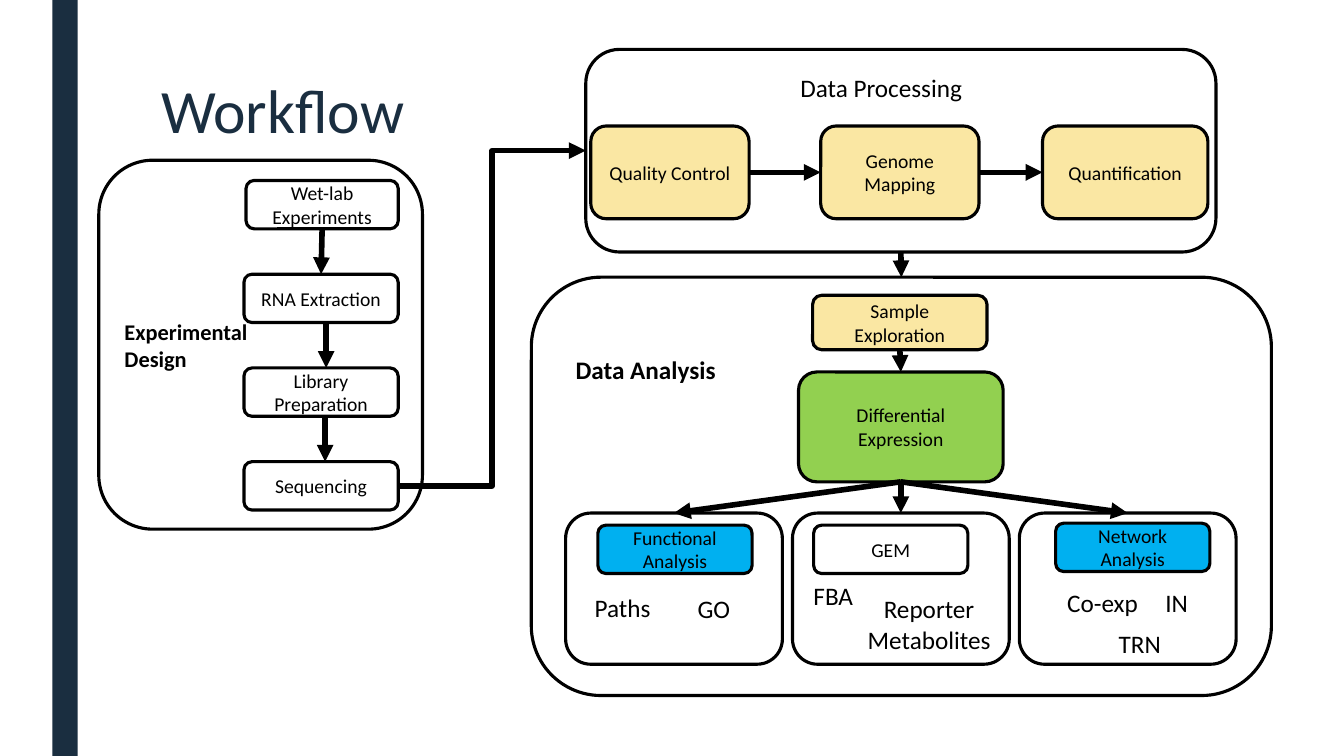
from pptx import Presentation
from pptx.dml.color import RGBColor
from pptx.enum.shapes import MSO_CONNECTOR, MSO_SHAPE
from pptx.enum.text import MSO_ANCHOR, PP_ALIGN
from pptx.oxml.ns import qn
from pptx.util import Emu, Pt
from lxml import etree

RECTANGLE, ROUNDED = MSO_SHAPE.RECTANGLE, MSO_SHAPE.ROUNDED_RECTANGLE
STRAIGHT, ELBOW = MSO_CONNECTOR.STRAIGHT, MSO_CONNECTOR.ELBOW
LEFT, CENTER = PP_ALIGN.LEFT, PP_ALIGN.CENTER
TOP_SITE, LEFT_SITE, BOTTOM_SITE, RIGHT_SITE = range(4)

EMU_PER_PX = 9144  # 100 px to the inch
SLIDE_SIZE = (1333, 750)

THEME = {
    "font": "Calibri",
    "navy": "1A2E40", "black": "000000",
    "cream": "FAE7A3", "green": "92D050", "blue": "00B0F0",
    "title": 44, "label": 18, "design": 16, "box": 14,
    "outline": 2.25, "arrow": 4,
}

SIDE_BAR = (52, 0, 25, 750)
TITLE = ("Workflow", (150, 75, 1050, 162))

FRAMES = {
    "Experimental\nDesign": (98, 159, 321, 366),
    "Data Processing": (581, 49, 625, 201),
    "Data Analysis": (527, 275, 734, 415),
}

# Steps run down the experimental frame: name, left, width
STEPS = [
    ("Wet-lab Experiments", 244, 151),
    ("RNA Extraction", 242, 153),
    ("Library Preparation", 242, 153),
    ("Sequencing", 242, 153),
]
STEP_TOP, STEP_PITCH, SMALL_HEIGHT = 179, 93, 48
STEP_ARROW_SHIFTS = [0, 5, 4]

# Processes run across the processing frame: name, left, width
PROCESSES = [
    ("Quality Control", 586, 157),
    ("Genome Mapping", 814, 157),
    ("Quantification", 1034, 164),
]
PROCESS_TOP, PROCESS_HEIGHT = 125, 92

ANALYSES = [
    ("Sample Exploration", (806, 293, 173, 54), "cream"),
    ("Differential Expression", (792, 369, 203, 109), "green"),
]

# Branches end the analysis: header, header left and top, fill, methods
BRANCHES = [
    ("Functional Analysis", 593, 521, "blue",
     [("Paths", (580, 583, 96, 40), LEFT), ("GO", (682, 584, 61, 40), LEFT)]),
    ("GEM", 807, 521, None,
     [("FBA", (797, 571, 73, 40), LEFT),
      ("Reporter\nMetabolites", (841, 584, 161, 71), CENTER)]),
    ("Network Analysis", 1047, 519, "blue",
     [("Co-exp", (1038, 578, 111, 40), CENTER),
      ("IN", (1141, 578, 52, 40), CENTER),
      ("TRN", (1092, 618, 77, 40), CENTER)]),
]
BRANCH_LEFT, BRANCH_TOP, BRANCH_PITCH = 561, 509, 225
BRANCH_SIZE, HEADER_WIDTH = (215, 150), 153

FRAME_LABELS = [
    ("Data Processing", (765, 67, 218, 40), CENTER, False),
    ("Data Analysis", (561, 347, 184, 40), LEFT, True),
]


def px(length):
    return Emu(round(length * EMU_PER_PX))


def color(name):
    return RGBColor.from_string(THEME[name])


def write(shape, text, size, align=CENTER, bold=False, ink="black",
          anchor=MSO_ANCHOR.MIDDLE, spacing=None):
    frame = shape.text_frame
    frame.word_wrap = True
    frame.vertical_anchor = anchor
    frame.text = text
    for paragraph in frame.paragraphs:
        paragraph.alignment = align
        paragraph.line_spacing = spacing
        font = paragraph.runs[0].font
        formats = {"name": THEME["font"], "size": Pt(THEME[size]), "bold": bold}
        for attribute, value in formats.items():
            setattr(font, attribute, value)
        font.color.rgb = color(ink)


def add_label(slide, text, place, size="label", **formats):
    label = slide.shapes.add_textbox(*map(px, place))
    write(label, text, size, anchor=MSO_ANCHOR.TOP, **formats)


def add_panel(slide, place, fill=None, outlined=True, kind=ROUNDED):
    panel = slide.shapes.add_shape(kind, *map(px, place))
    panel.shadow.inherit = False
    if fill:
        panel.fill.solid()
        panel.fill.fore_color.rgb = color(fill)
    else:
        panel.fill.background()
    if outlined:
        panel.line.color.rgb = color("black")
        panel.line.width = Pt(THEME["outline"])
    else:
        panel.line.fill.background()
    return panel


def add_box(slide, text, place, fill=None):
    box = add_panel(slide, place, fill)
    write(box, text, "box")
    return box


def site_point(shape, site):
    """Return the middle of the shape's edge that the site number names."""
    across = {LEFT_SITE: 0, RIGHT_SITE: 1}.get(site, 0.5)
    down = {TOP_SITE: 0, BOTTOM_SITE: 1}.get(site, 0.5)
    return (round(shape.left + across * shape.width),
            round(shape.top + down * shape.height))


def add_arrow(slide, source, target, sites=(BOTTOM_SITE, TOP_SITE),
              kind=STRAIGHT, shift=0):
    """Join two shapes; a shifted arrow runs beside the middle, unglued."""
    start_x, start_y = site_point(source, sites[0])
    end_x, end_y = site_point(target, sites[1])
    arrow = slide.shapes.add_connector(
        kind, start_x + px(shift), start_y, end_x + px(shift), end_y)
    if not shift:
        arrow.begin_connect(source, sites[0])
        arrow.end_connect(target, sites[1])
    arrow.line.color.rgb = color("black")
    arrow.line.width = Pt(THEME["arrow"])
    etree.SubElement(arrow.line._get_or_add_ln(), qn("a:tailEnd"), type="triangle")
    etree.SubElement(arrow._element.spPr, qn("a:effectLst"))


def main():
    presentation = Presentation()
    presentation.slide_width, presentation.slide_height = map(px, SLIDE_SIZE)
    slide = presentation.slides.add_slide(presentation.slide_layouts[6])

    add_panel(slide, SIDE_BAR, "navy", outlined=False, kind=RECTANGLE)
    add_label(slide, *TITLE, size="title", align=LEFT, ink="navy", spacing=0.89)

    design, processing, analysis = [
        add_panel(slide, place) for place in FRAMES.values()]
    write(design, list(FRAMES)[0], "design", align=LEFT, bold=True)
    for text, place, align, bold in FRAME_LABELS:
        add_label(slide, text, place, align=align, bold=bold)

    steps = [
        add_box(slide, name, (left, STEP_TOP + row * STEP_PITCH, width, SMALL_HEIGHT))
        for row, (name, left, width) in enumerate(STEPS)]
    for source, target, shift in zip(steps, steps[1:], STEP_ARROW_SHIFTS):
        add_arrow(slide, source, target, shift=shift)

    processes = [
        add_box(slide, name, (left, PROCESS_TOP, width, PROCESS_HEIGHT), "cream")
        for name, left, width in PROCESSES]
    for source, target in zip(processes, processes[1:]):
        add_arrow(slide, source, target, (RIGHT_SITE, LEFT_SITE))

    exploration, expression = [add_box(slide, *item) for item in ANALYSES]
    add_arrow(slide, exploration, expression)

    for column, (header, left, top, fill, methods) in enumerate(BRANCHES):
        branch_left = BRANCH_LEFT + column * BRANCH_PITCH
        branch = add_panel(slide, (branch_left, BRANCH_TOP, *BRANCH_SIZE))
        add_box(slide, header, (left, top, HEADER_WIDTH, SMALL_HEIGHT), fill)
        for text, place, align in methods:
            add_label(slide, text, place, align=align)
        add_arrow(slide, expression, branch)

    add_arrow(slide, processing, analysis)
    add_arrow(slide, steps[-1], processing, (RIGHT_SITE, LEFT_SITE), ELBOW)

    presentation.save("out.pptx")


if __name__ == "__main__":
    main()
